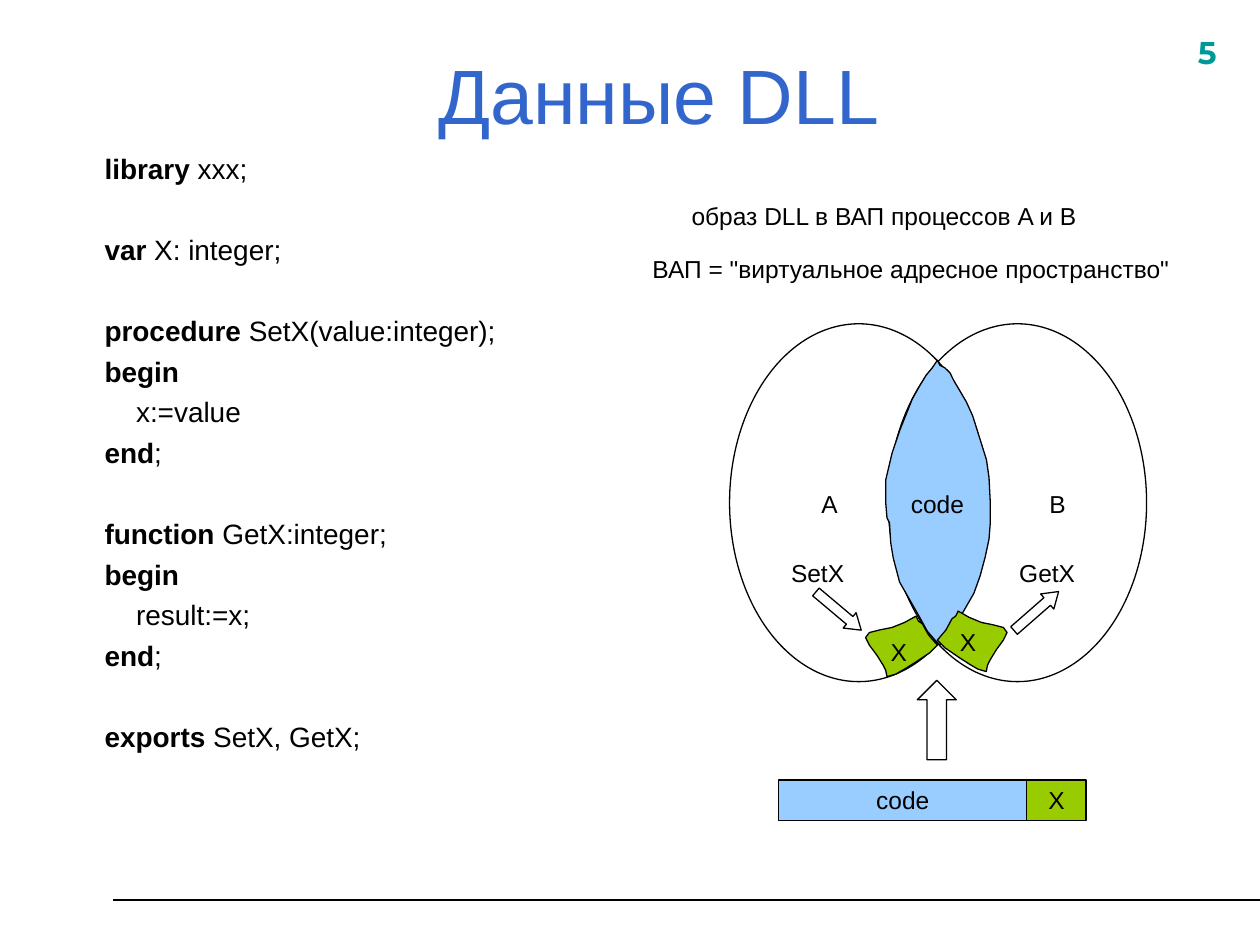
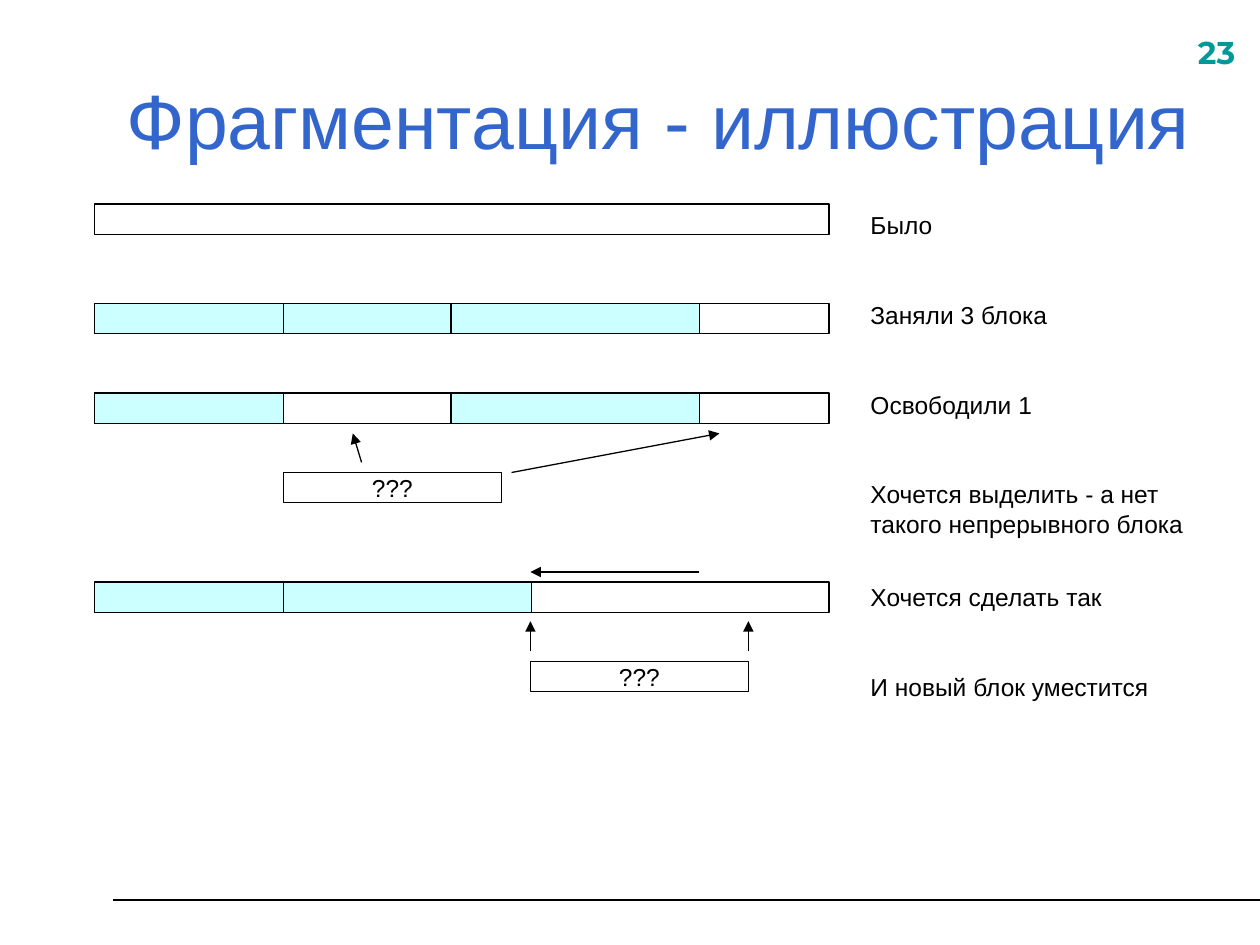
from lxml.etree import SubElement
from pptx import Presentation
from pptx.dml.color import RGBColor
from pptx.enum.shapes import MSO_CONNECTOR, MSO_SHAPE
from pptx.enum.text import MSO_ANCHOR, MSO_AUTO_SIZE, PP_ALIGN
from pptx.oxml.ns import qn
from pptx.util import Inches, Pt

COLORS = {
    "title": "3366CC", "number": "009999", "ink": "000000", "paper": "FFFFFF",
    "code": "99CCFF", "data": "99CC00", "used": "CCFFFF",
}
FONT = "Arial"
THIN = 0.75

CODE = [
    ("library", " xxx;", 0, 0),
    ("var", " X: integer;", 1, 0),
    ("procedure", " SetX(value:integer);", 1, 0),
    ("begin", "", 0, 0),
    ("", "x:=value", 0, 0.25),
    ("end", ";", 0, 0),
    ("function", " GetX:integer;", 1, 0),
    ("begin", "", 0, 0),
    ("", "result:=x;", 0, 0.25),
    ("end", ";", 0, 0),
    ("exports", " SetX, GetX;", 1, 0),
]
NOTES = [
    ("Было", 0),
    ("Заняли 3 блока", 34.4),
    ("Освободили 1", 34.4),
    ("Хочется выделить - а нет такого непрерывного блока", 34.4),
    ("Хочется сделать так", 25.2),
    ("И новый блок уместится", 34.4),
]
LENS = [
    (1.65, 0.29), (1.61, 0.35), (1.56, 0.41), (1.5, 0.51), (1.45, 0.6),
    (1.35, 0.85), (1.29, 1.03), (1.24, 1.24), (1.24, 1.42), (1.25, 1.54),
    (1.27, 1.58), (1.28, 1.74), (1.3, 1.86), (1.35, 2.05), (1.43, 2.19),
    (1.51, 2.33), (1.57, 2.44), (1.63, 2.51), (1.67, 2.55), (1.75, 2.44),
    (1.83, 2.33), (1.94, 2.14), (1.99, 2), (2.03, 1.85), (2.06, 1.71),
    (2.07, 1.58), (2.07, 1.42), (2.06, 1.22), (2.04, 1.08), (1.99, 0.92),
    (1.93, 0.73), (1.88, 0.62), (1.78, 0.45), (1.75, 0.39), (1.71, 0.35),
    (1.67, 0.33),
]
PATCH = [
    (0.4, 0.48), (0.41, 0.43), (0.43, 0.39), (0.48, 0.31), (0.54, 0.23),
    (0.57, 0.17), (0.54, 0.13), (0.46, 0.11), (0.36, 0.09), (0.26, 0.05),
    (0.17, 0), (0.15, 0.04), (0.12, 0.06), (0.07, 0.15), (0, 0.23),
    (0.06, 0.29), (0.18, 0.37), (0.26, 0.42), (0.33, 0.46),
]


def tint(name):
    return RGBColor.from_string(COLORS[name])


def write(frame, words, lead="", size=14, color="ink", font=FONT, bold=False,
          align=PP_ALIGN.LEFT, before=0, indent=0):
    para = frame.paragraphs[0]
    if para.runs:
        para = frame.add_paragraph()
    para.alignment = align
    para.space_before = Pt(before)
    props = para._p.get_or_add_pPr()
    props.set("marL", str(Inches(indent)))
    props.set("indent", "0")
    SubElement(props, qn("a:buNone"))
    for part, heavy in ((lead, True), (words, bold)):
        if part:
            run = para.add_run()
            run.text = part
            run.font.name = font
            run.font.size = Pt(size)
            run.font.bold = heavy
            run.font.color.rgb = tint(color)


def place(shape, left, top, width, height):
    shape.left, shape.top = Inches(left), Inches(top)
    shape.width, shape.height = Inches(width), Inches(height)
    shape.text_frame.auto_size = MSO_AUTO_SIZE.NONE
    return shape.text_frame


def label(slide, words, left, top, width, height=0.34, wrap=True, **style):
    box = slide.shapes.add_textbox(0, 0, 0, 0)
    frame = place(box, left, top, width, height)
    frame.word_wrap = wrap
    if words:
        write(frame, words, **style)
    return frame


def paint(shape, fill):
    shape.shadow.inherit = False
    if fill:
        shape.fill.solid()
        shape.fill.fore_color.rgb = tint(fill)
    else:
        shape.fill.background()
    shape.line.color.rgb = tint("ink")
    shape.line.width = Pt(THIN)
    return shape


def draw(slide, kind, left, top, width, height, fill, words=""):
    shape = slide.shapes.add_shape(
        kind, Inches(left), Inches(top), Inches(width), Inches(height))
    paint(shape, fill)
    if words:
        frame = shape.text_frame
        frame.word_wrap = False
        frame.vertical_anchor = MSO_ANCHOR.MIDDLE
        write(frame, words, align=PP_ALIGN.CENTER)
    return shape


def blob(slide, dots, fill):
    dots = [(Inches(x), Inches(y)) for x, y in dots]
    build = slide.shapes.build_freeform(*dots[0], scale=1.0)
    build.add_line_segments(dots[1:], close=True)
    paint(build.convert_to_shape(), fill)


def link(slide, start, end, width=THIN, arrow=True):
    line = slide.shapes.add_connector(
        MSO_CONNECTOR.STRAIGHT, *(Inches(n) for n in (*start, *end)))
    line.line.color.rgb = tint("ink")
    line.line.width = Pt(width)
    props = line._element.spPr
    if arrow:
        SubElement(props.find(qn("a:ln")), qn("a:tailEnd"), type="triangle")
    SubElement(props, qn("a:effectLst"))


def start(deck, layout, title, number, height):
    slide = deck.slides.add_slide(deck.slide_layouts[layout])
    link(slide, (0.9, 7.14), (10, 7.14), width=1.25, arrow=False)
    label(slide, number, 9.41, 0.21, 0.63, 0.44, size=18, color="number",
          font="Montserrat", bold=True)
    frame = place(slide.shapes.title, 0.73, 0.32, 9, height)
    frame.vertical_anchor = MSO_ANCHOR.MIDDLE
    write(frame, title, size=44, color="title", align=PP_ALIGN.CENTER)
    return slide


def listing(slide, left, top, width, height):
    frame = place(slide.placeholders[1], left, top, width, height)
    for lead, words, gap, indent in CODE:
        write(frame, words, lead=lead, size=16, indent=indent,
              before=27.2 if gap else 4)


def venn(slide, left, top):
    for shift, fill in ((0, "paper"), (1.26, None)):
        draw(slide, MSO_SHAPE.OVAL, left + shift, top, 2.05, 2.84, fill)
    blob(slide, [(left + x, top + y) for x, y in LENS], "code")
    for side, drop in ((-1, 2.32), (0.97, 2.28)):
        dots = [(left + 1.65 + side * x, top + drop + y) for x, y in PATCH]
        blob(slide, dots, "data")
    for words, x, y, width in (
            ("code", 1.34, 1.26, 0.62), ("X", 1.18, 2.44, 0.33),
            ("X", 1.73, 2.36, 0.33), ("A", 0.63, 1.26, 0.33),
            ("B", 2.44, 1.26, 0.33)):
        label(slide, words, left + x, top + y, width, wrap=False)
    for words, x, width, tip, turn in (
            ("SetX", 0.39, 0.63, 0.63, 40.1), ("GetX", 2.2, 0.79, 2.2, 318.8)):
        label(slide, words, left + x, top + 1.81, width)
        arrow = draw(slide, MSO_SHAPE.RIGHT_ARROW, left + tip, top + 2.2,
                     0.47, 0.16, "paper")
        arrow.adjustments[1] = 0.75
        arrow.rotation = turn


def module(slide, left, top):
    draw(slide, MSO_SHAPE.RECTANGLE, left, top, 1.97, 0.32, "code", "code")
    draw(slide, MSO_SHAPE.RECTANGLE, left + 1.97, top, 0.47, 0.32, "data", "X")
    draw(slide, MSO_SHAPE.UP_ARROW, left + 1.1, top - 0.79, 0.31, 0.63, "paper")


def memory(slide, left, top):
    first, second, third = (0, 1.5), (1.5, 1.34), (2.83, 1.97)
    rows = [
        (0, []),
        (0.79, [first, second, third]),
        (1.5, [first, third]),
        (3, [first, (1.5, 1.97)]),
    ]
    for drop, used in rows:
        for x, width, fill in [(0, 5.83, "paper"),
                               *((*cell, "used") for cell in used)]:
            draw(slide, MSO_SHAPE.RECTANGLE, left + x, top + drop, width, 0.24,
                 fill)
    for x, drop in ((1.5, 2.13), (3.46, 3.63)):
        draw(slide, MSO_SHAPE.RECTANGLE, left + x, top + drop, 1.73, 0.24,
             "paper", "???")
    for x, y, end, rise in (
            (2.12, 2.05, 2.05, 1.82), (3.31, 2.13, 4.96, 1.82),
            (4.8, 2.92, 3.46, 2.92), (3.46, 3.55, 3.46, 3.31),
            (5.19, 3.55, 5.19, 3.31)):
        link(slide, (left + x, top + y), (left + end, top + rise))


def notes(slide, left, top, width, height):
    frame = label(slide, "", left, top, width, height)
    for words, gap in NOTES:
        write(frame, words, before=gap)


def main():
    deck = Presentation()
    deck.slide_width, deck.slide_height = Inches(10), Inches(7.5)

    slide = start(deck, 1, "Данные DLL", "5", 0.84)
    listing(slide, 0.73, 1.15, 3.64, 5.58)
    label(slide, "образ DLL в ВАП процессов A и B", 5.39, 1.55, 3.86)
    label(slide, 'ВАП = "виртуальное адресное пространство"', 5.08, 1.97, 4.41)
    venn(slide, 5.79, 2.57)
    module(slide, 6.18, 6.19)

    slide = start(deck, 5, "Фрагментация - иллюстрация", "23", 1.25)
    memory(slide, 0.75, 1.62)
    notes(slide, 6.81, 1.62, 2.91, 3.99)

    deck.save("out.pptx")


if __name__ == "__main__":
    main()
